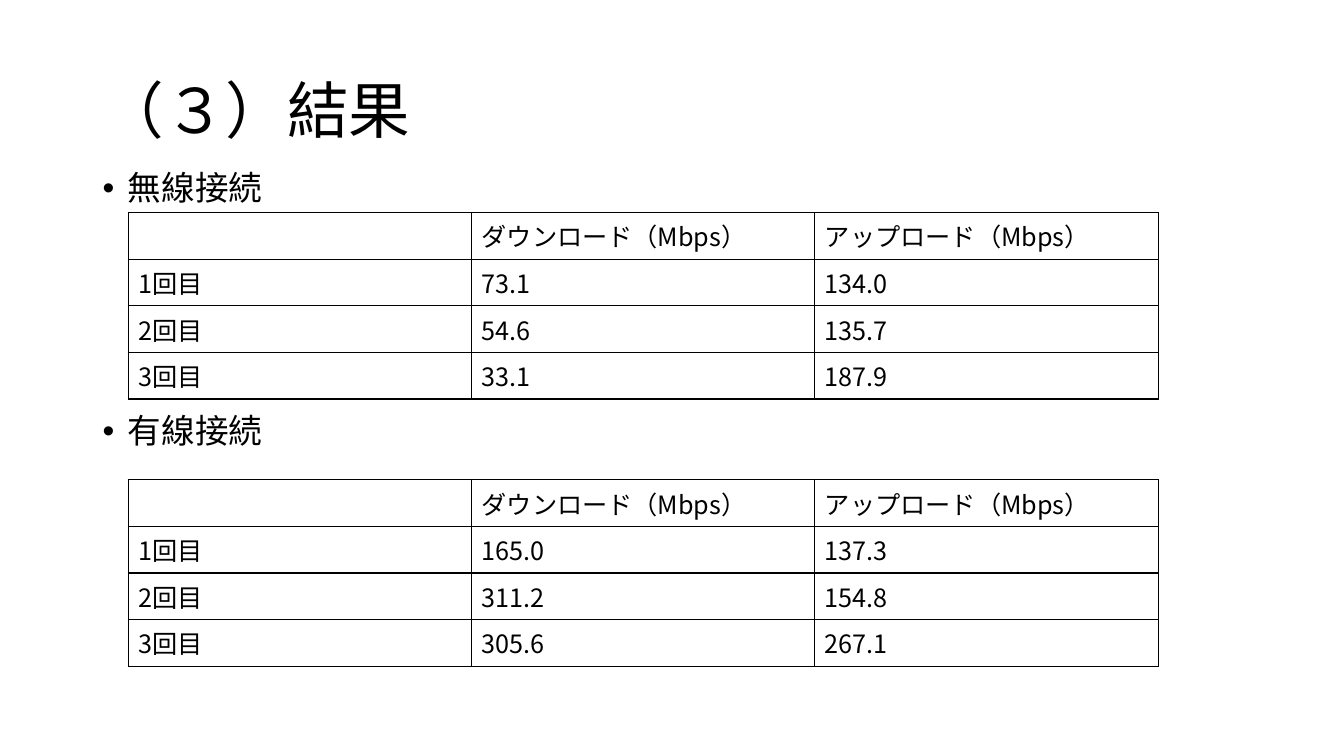
from lxml import etree
from pptx import Presentation, util as u
from pptx.dml.color import RGBColor
from pptx.enum import text
from pptx.oxml import ns

FONT = "Noto Sans CJK JP"
BLACK = "000000"
HEADINGS = ["", "ダウンロード（Mbps）", "アップロード（Mbps）"]
WIRELESS = [("73.1", "134.0"), ("54.6", "135.7"), ("33.1", "187.9")]
WIRED = [("165.0", "137.3"), ("311.2", "154.8"), ("305.6", "267.1")]


def colour(value):
    return RGBColor.from_string(value)


def write_text(paragraph, content, size, line_spacing=None, space_before=0):
    paragraph.alignment = text.PP_ALIGN.LEFT
    paragraph.line_spacing = line_spacing
    paragraph.space_before = u.Pt(space_before)
    run = paragraph.add_run()
    run.text = content
    font = run.font
    font.size, font.name, font.bold = u.Pt(size), FONT, False
    font.color.rgb = colour(BLACK)
    east_asian = etree.Element(ns.qn("a:ea"), typeface=FONT)
    font._element.find(ns.qn("a:latin")).addnext(east_asian)


def place(shape, left, top, width, height):
    shape.left, shape.top = u.Cm(left), u.Cm(top)
    shape.width, shape.height = u.Cm(width), u.Cm(height)
    shape.text_frame.auto_size = text.MSO_AUTO_SIZE.NONE


def add_title(slide, content, box):
    title = slide.shapes.title
    place(title, *box)
    title.text_frame.vertical_anchor = text.MSO_ANCHOR.MIDDLE
    write_text(title.text_frame.paragraphs[0], content, 44, line_spacing=0.9)


def add_bullets(slide, items, gap, box):
    """Place bulleted items, leaving gap points between them for a table."""
    body = slide.placeholders[1]
    place(body, *box)
    frame = body.text_frame
    frame.vertical_anchor = text.MSO_ANCHOR.TOP
    indent = u.Cm(0.64)
    for index, item in enumerate(items):
        paragraph = frame.add_paragraph() if index else frame.paragraphs[0]
        properties = paragraph._p.get_or_add_pPr()
        properties.set("marL", str(indent))
        properties.set("indent", str(-indent))
        etree.SubElement(properties, ns.qn("a:buFont"), typeface="Arial")
        etree.SubElement(properties, ns.qn("a:buChar"), char="•")
        write_text(paragraph, item, 24, line_spacing=0.9,
                   space_before=gap if index else 0)


def set_borders(cell):
    properties = cell._tc.get_or_add_tcPr()
    for index, side in enumerate(("a:lnL", "a:lnR", "a:lnT", "a:lnB")):
        line = etree.Element(ns.qn(side), w=str(u.Pt(1)))
        fill = etree.SubElement(line, ns.qn("a:solidFill"))
        etree.SubElement(fill, ns.qn("a:srgbClr"), val=BLACK)
        properties.insert(index, line)


def add_speed_table(slide, speeds, box):
    rows = [HEADINGS]
    rows += [(f"{number}回目", *pair) for number, pair in enumerate(speeds, 1)]
    table = slide.shapes.add_table(
        len(rows), len(HEADINGS), *(u.Cm(length) for length in box)).table
    table.first_row = table.horz_banding = False
    for row, values in enumerate(rows):
        for column, value in enumerate(values):
            cell = table.cell(row, column)
            cell.fill.background()
            set_borders(cell)
            if value:
                write_text(cell.text_frame.paragraphs[0], value, 18)


def main():
    presentation = Presentation()
    presentation.slide_width = u.Cm(33.87)
    presentation.slide_height = u.Cm(19.05)
    slide = presentation.slides.add_slide(presentation.slide_layouts[1])
    add_title(slide, "（３）結果", (2.33, 1.01, 29.21, 3.68))
    add_bullets(slide, ["無線接続", "有線接続"], 148, (2.33, 4.19, 29.21, 12.09))
    for speeds, top in ((WIRELESS, 5.36), (WIRED, 12.09)):
        add_speed_table(slide, speeds, (3.23, top, 25.96, 4.17))
    presentation.save("out.pptx")


if __name__ == "__main__":
    main()
